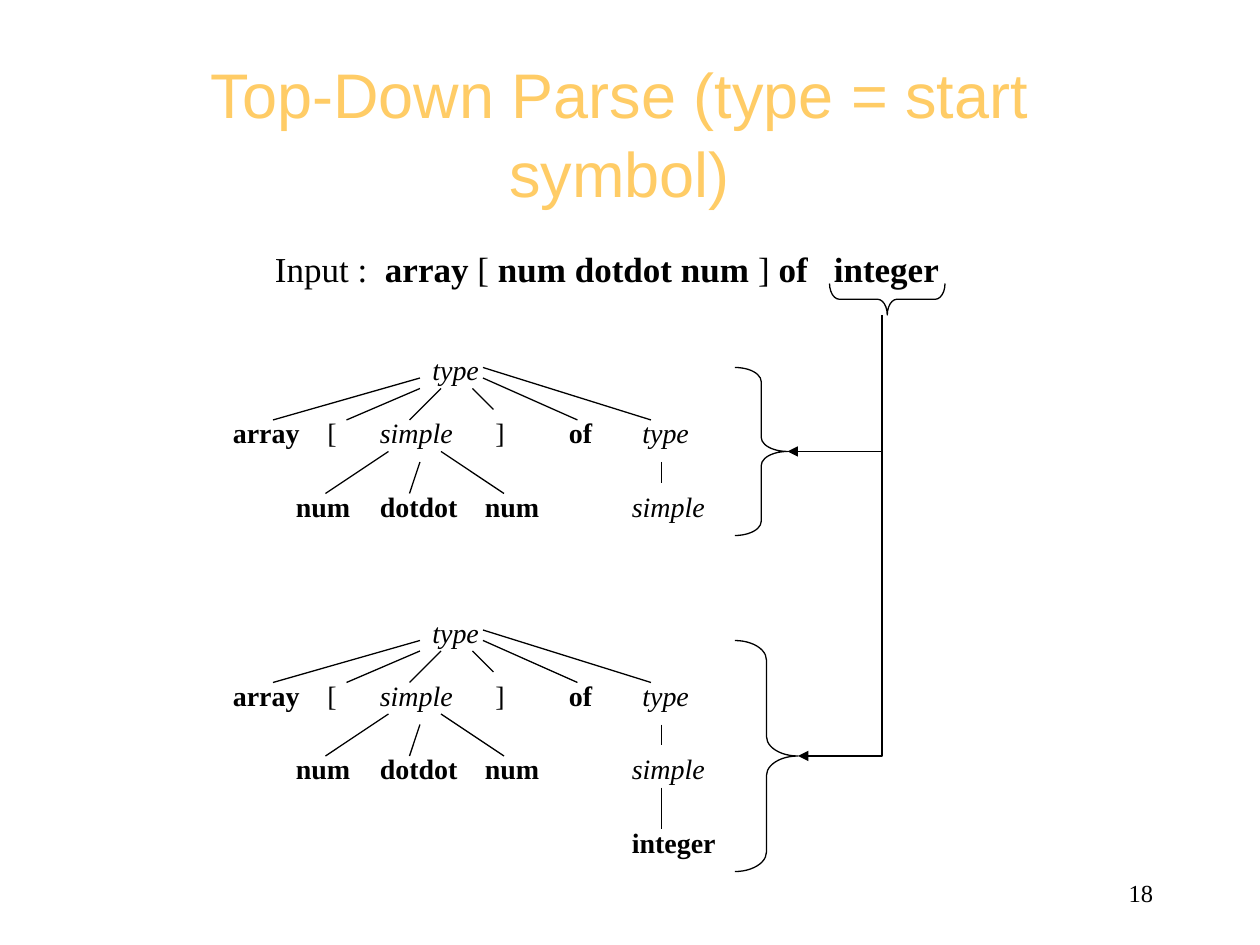
from lxml import etree
from pptx import Presentation
from pptx import util as u
from pptx.dml import color
from pptx.enum import shapes, text
from pptx.oxml.ns import qn

BOLD, ITALIC, PLAIN = {"bold": True}, {"italic": True}, {}
ALIGN = text.PP_ALIGN


def rgb(hex_string):
    return color.RGBColor.from_string(hex_string)


class SlideBuilder:
    """Holds the style, the current slide and the shapes being drawn on."""

    ink, accent = "000000", "FFCC66"
    serif, sans = "Times New Roman", "Arial"
    line_width = 0.75

    def __init__(self, page):
        self.page = page
        self.target = page.shapes

    def format_font(self, span, size, name, hex_color, extra):
        for key, value in {"size": u.Pt(size), "name": name, **extra}.items():
            setattr(span.font, key, value)
        span.font.color.rgb = rgb(hex_color)

    def title(self, words, left, top, width, height):
        box = self.page.shapes.title
        for key, value in dict(left=left, top=top, width=width, height=height).items():
            setattr(box, key, u.Pt(value))
        frame = box.text_frame
        frame.auto_size = text.MSO_AUTO_SIZE.NONE
        frame.vertical_anchor = text.MSO_ANCHOR.MIDDLE
        para = frame.paragraphs[0]
        para.alignment, para.line_spacing = ALIGN.CENTER, 1.05
        span = para.add_run()
        span.text = words
        self.format_font(span, 36, self.sans, self.accent, {})

    def label(self, spans, left, top, width, height=26.6, size=16,
              tabs=(), align=ALIGN.LEFT, anchor=text.MSO_ANCHOR.TOP):
        box = self.target.add_textbox(*map(u.Pt, (left, top, width, height)))
        frame = box.text_frame
        frame.word_wrap = True
        frame.vertical_anchor = anchor
        para = frame.paragraphs[0]
        para.alignment = align
        if tabs:
            tab_list = etree.SubElement(para._p.get_or_add_pPr(), qn("a:tabLst"))
            for stop in tabs:
                etree.SubElement(tab_list, qn("a:tab"), pos=str(u.Pt(stop)), algn="l")
        for words, style in spans:
            span = para.add_run()
            span.text = words
            self.format_font(span, size, self.serif, self.ink, style)

    def stroke(self, shape):
        shape.line.color.rgb = rgb(self.ink)
        shape.line.width = u.Pt(self.line_width)

    def line(self, x1, y1, x2, y2, kind=shapes.MSO_CONNECTOR.STRAIGHT):
        link = self.target.add_connector(kind, *map(u.Pt, (x1, y1, x2, y2)))
        self.stroke(link)
        etree.SubElement(link._element.spPr, qn("a:effectLst"))
        return link

    def elbow_arrow(self, x1, y1, x2, y2):
        """Run down from the start, then turn left to the arrowhead."""
        mid_x, mid_y = (x1 + x2) / 2, (y1 + y2) / 2
        half_drop, half_run = (y2 - y1) / 2, (x1 - x2) / 2
        link = self.line(mid_x - half_drop, mid_y - half_run,
                         mid_x + half_drop, mid_y + half_run,
                         shapes.MSO_CONNECTOR.ELBOW)
        properties = link._element.spPr
        properties.find(qn("a:prstGeom")).set("prst", "bentConnector2")
        properties.find(qn("a:xfrm")).set("rot", str(90 * 60000))
        etree.SubElement(properties.find(qn("a:ln")), qn("a:tailEnd"), type="triangle")

    def brace(self, left, top, width, height, curve=0.31, rotation=0):
        shape = self.target.add_shape(shapes.MSO_SHAPE.RIGHT_BRACE,
                                      *map(u.Pt, (left, top, width, height)))
        shape.adjustments[0] = curve
        shape.rotation = rotation
        shape.shadow.inherit = False
        shape.fill.background()
        self.stroke(shape)

    def tree(self, top, nodes, branches):
        self.target = self.page.shapes.add_group_shape().shapes
        for words, style, left, drop in nodes:
            self.label([(words, style)], left, top + drop, 90)
        for x1, y1, x2, y2 in branches:
            self.line(x1, top + y1, x2, top + y2)
        self.target = self.page.shapes


# Parse tree: words, style, left edge and drop below the root
NODES = [
    ("type", ITALIC, 240, 0),
    ("array", BOLD, 126, 36), ("[", PLAIN, 180, 36), ("simple", ITALIC, 210, 36),
    ("]", PLAIN, 276, 36), ("of", BOLD, 318, 36), ("type", ITALIC, 360, 36),
    ("num", BOLD, 162, 78), ("dotdot", BOLD, 210, 78), ("num", BOLD, 270, 78),
    ("simple", ITALIC, 354, 78),
]
BRANCHES = [
    (240, 18, 156, 42), (240, 24, 198, 42), (252, 24, 234, 42),
    (270, 24, 282, 36), (276, 18, 330, 42), (276, 12, 372, 42),
    (222, 60, 186, 84), (240, 66, 234, 84), (252, 60, 288, 84),
    (378, 66, 378, 78),
]
INPUT = [("Input :\t", PLAIN), ("array ", BOLD), ("[ ", PLAIN),
         ("num dotdot num ", BOLD), ("] ", PLAIN), ("of\tinteger", BOLD)]


def main():
    deck = Presentation()
    deck.slide_width, deck.slide_height = u.Pt(720), u.Pt(540)
    build = SlideBuilder(deck.slides.add_slide(deck.slide_layouts[5]))

    # Heading and input string
    build.title("Top-Down Parse (type = start symbol)", 48, 30, 612, 90)
    build.label(INPUT, 150, 138, 402, 31.5, size=20, tabs=(62.9, 319.4))

    # Tree before and after expanding the last leaf
    build.tree(198, NODES, BRANCHES)
    build.tree(348, NODES + [("integer", BOLD, 354, 120)],
               BRANCHES + [(378, 102, 378, 126)])

    # Braces and the arrows from the current token
    build.brace(420, 366, 36, 132)
    build.brace(420, 210, 30, 96, curve=0.27)
    build.brace(498, 138, 18, 66, rotation=90)
    build.elbow_arrow(504, 180, 450, 258)
    build.elbow_arrow(504, 186, 456, 432)

    # Page number
    build.label([("18", PLAIN)], 516, 492, 150, 36, size=14,
                align=ALIGN.RIGHT, anchor=text.MSO_ANCHOR.MIDDLE)
    deck.save("out.pptx")


if __name__ == "__main__":
    main()
